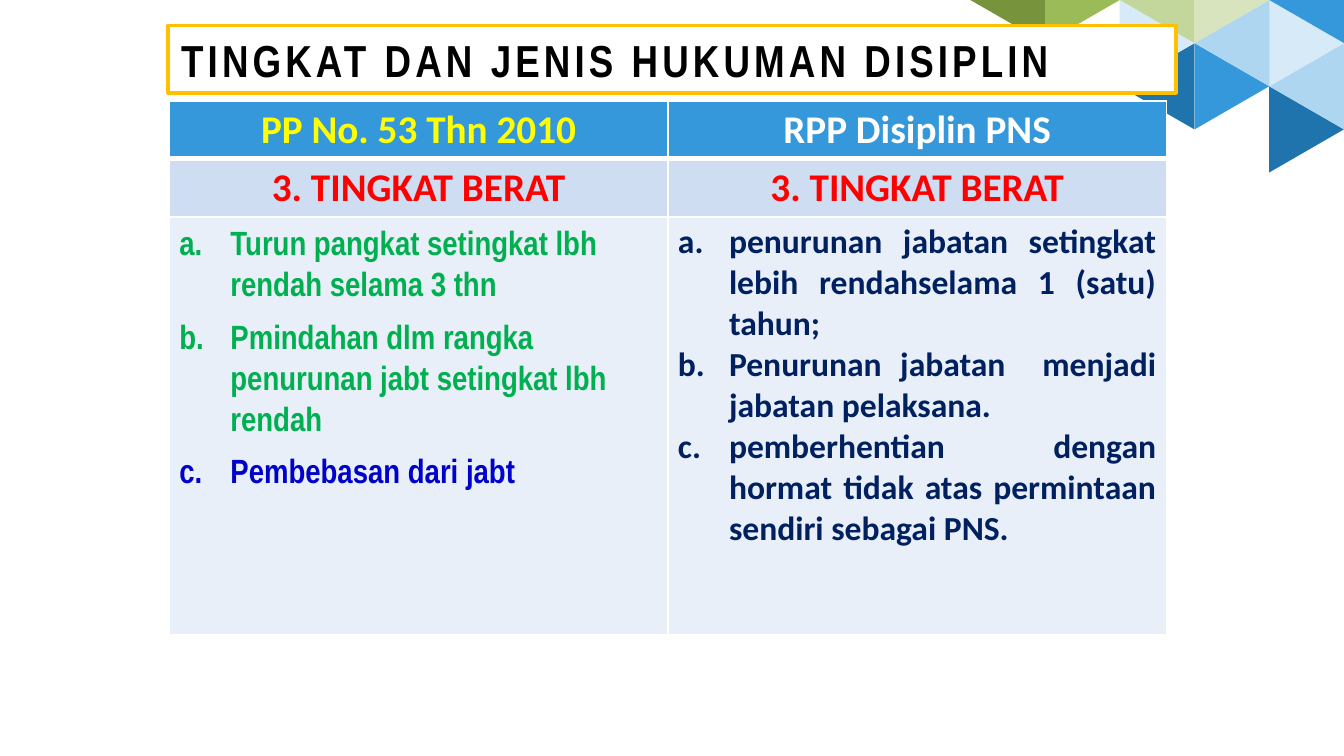
from dataclasses import dataclass
from math import cos, radians, sin, sqrt

from lxml.etree import SubElement
from pptx import Presentation
from pptx.dml.color import RGBColor
from pptx.enum.shapes import MSO_SHAPE
from pptx.enum.text import MSO_ANCHOR, PP_ALIGN
from pptx.oxml.ns import qn
from pptx.util import Inches, Pt


@dataclass(frozen=True)
class Theme:
    narrow: str = "Arial Narrow"
    body: str = "Calibri"
    title_size: int = 24
    header_size: int = 21
    list_size: int = 18
    white: str = "FFFFFF"
    black: str = "000000"
    gold: str = "FFC000"
    yellow: str = "FFFF00"
    red: str = "FF0000"
    green: str = "00B050"
    blue: str = "0000CC"
    navy: str = "002060"
    header_fill: str = "3498DB"
    level_fill: str = "CEDDF1"
    list_fill: str = "E8EFF8"
    dark_blue: str = "1F74AD"
    mid_blue: str = "3498DB"
    light_blue: str = "AED6F1"
    pale_blue: str = "D6EAF8"
    dark_olive: str = "77933C"
    olive: str = "9BBB59"
    light_olive: str = "C3D69B"
    pale_olive: str = "D7E4BD"


THEME = Theme()

TRIANGLES = [
    (4, 3, 330, THEME.dark_blue),
    (4, 2, 270, THEME.light_blue),
    (4, 1, 210, THEME.pale_blue),
    (3, 2, 90, THEME.mid_blue),
    (3, 1, 150, THEME.light_blue),
    (2, 2, 270, THEME.dark_blue),
    (2, 1, 210, THEME.pale_blue),
    (2, 0, 30, THEME.light_olive),
    (3, 0, 330, THEME.pale_olive),
    (0, 0, 30, THEME.dark_olive),
    (1, 0, 330, THEME.olive),
    (4, 0, 30, THEME.mid_blue),
]

HEADERS = [("PP No. 53 Thn 2010", THEME.yellow), ("RPP Disiplin PNS", THEME.white)]
LEVEL = "3. TINGKAT BERAT"
OLD_PENALTIES = [
    ("Turun pangkat setingkat lbh rendah selama 3 thn", THEME.green),
    ("Pmindahan dlm rangka penurunan jabt setingkat lbh rendah", THEME.green),
    ("Pembebasan dari jabt", THEME.blue),
]
NEW_PENALTIES = [
    "penurunan jabatan setingkat lebih rendahselama 1 (satu) tahun;",
    "Penurunan jabatan  menjadi jabatan pelaksana.",
    "pemberhentian dengan hormat tidak atas permintaan sendiri sebagai PNS.",
]


def write_text(frame, text, size, color, font=THEME.body, align=PP_ALIGN.LEFT,
               first=True, lettered=False, line_spacing=None, space_before=0, tracking=0):
    paragraph = frame.paragraphs[0] if first else frame.add_paragraph()
    if lettered:
        properties = paragraph._p.get_or_add_pPr()
        indent = Inches(0.38)
        properties.set("marL", str(indent))
        properties.set("indent", str(-indent))
        SubElement(properties, qn("a:buFont"), typeface="+mj-lt")
        SubElement(properties, qn("a:buAutoNum"), type="alphaLcPeriod")
    paragraph.alignment = align
    if line_spacing:
        paragraph.line_spacing = line_spacing
    paragraph.space_before = Pt(0 if first else space_before)
    run = paragraph.add_run()
    run.text = text
    run.font.name = font
    run.font.size = Pt(size)
    run.font.bold = True
    run.font.color.rgb = RGBColor.from_string(color)
    if tracking:
        run._r.get_or_add_rPr().set("spc", str(round(tracking * 100)))


def add_triangle_corner(slide, left, top, width):
    height = width / 5
    side = height * 2 / sqrt(3)
    group = slide.shapes.add_group_shape()
    for column, row, rotation, color in TRIANGLES:
        points_right = rotation % 120 == 90
        centroid_x = left + height * (column + (1 / 3 if points_right else 2 / 3))
        centroid_y = top + row * side / 2
        angle = radians(rotation)
        center_x = centroid_x + height / 6 * sin(angle)
        center_y = centroid_y - height / 6 * cos(angle)
        triangle = group.shapes.add_shape(
            MSO_SHAPE.ISOSCELES_TRIANGLE,
            Inches(center_x - side / 2), Inches(center_y - height / 2),
            Inches(side), Inches(height))
        triangle.rotation = rotation
        triangle.shadow.inherit = False
        triangle.fill.solid()
        triangle.fill.fore_color.rgb = RGBColor.from_string(color)
        triangle.line.fill.background()


def add_title(slide, left, top, width, height):
    title = slide.shapes.add_shape(
        MSO_SHAPE.RECTANGLE, Inches(left), Inches(top), Inches(width), Inches(height))
    title.shadow.inherit = False
    title.fill.solid()
    title.fill.fore_color.rgb = RGBColor.from_string(THEME.white)
    title.line.color.rgb = RGBColor.from_string(THEME.gold)
    title.line.width = Pt(2)
    frame = title.text_frame
    frame.word_wrap = True
    frame.vertical_anchor = MSO_ANCHOR.MIDDLE
    write_text(frame, "TINGKAT DAN JENIS HUKUMAN DISIPLIN", THEME.title_size,
               THEME.black, font=THEME.narrow, tracking=2.2)


def style_cell(cell, fill, top_width, bottom_width):
    cell.margin_left = cell.margin_right = Pt(5.4)
    cell.margin_top = cell.margin_bottom = Pt(2.7)
    properties = cell._tc.get_or_add_tcPr()
    widths = {"a:lnL": 1, "a:lnR": 1, "a:lnT": top_width, "a:lnB": bottom_width}
    for edge, width in widths.items():
        border = SubElement(properties, qn(edge), w=str(Pt(width)))
        SubElement(SubElement(border, qn("a:solidFill")), qn("a:srgbClr"), val=THEME.white)
    cell.fill.solid()
    cell.fill.fore_color.rgb = RGBColor.from_string(fill)


def add_penalty_table(slide, left, top, width, height):
    heading_height = 0.43
    table = slide.shapes.add_table(
        3, 2, Inches(left), Inches(top), Inches(width), Inches(height)).table
    table.horz_banding = False
    for column in table.columns:
        column.width = Inches(width / 2)
    row_heights = [heading_height, heading_height, height - 2 * heading_height]
    for row, row_height in zip(table.rows, row_heights):
        row.height = Inches(row_height)

    row_styles = [(THEME.header_fill, 1, 3), (THEME.level_fill, 3, 1), (THEME.list_fill, 1, 1)]
    for row, style in zip(table.rows, row_styles):
        for cell in row.cells:
            style_cell(cell, *style)

    for column, (header, color) in enumerate(HEADERS):
        for row, (text, text_color) in enumerate([(header, color), (LEVEL, THEME.red)]):
            write_text(table.cell(row, column).text_frame, text, THEME.header_size,
                       text_color, align=PP_ALIGN.CENTER)
    for index, (text, color) in enumerate(OLD_PENALTIES):
        write_text(table.cell(2, 0).text_frame, text, THEME.list_size, color,
                   font=THEME.narrow, first=index == 0, lettered=True,
                   line_spacing=1.3, space_before=6)
    for index, text in enumerate(NEW_PENALTIES):
        write_text(table.cell(2, 1).text_frame, text, THEME.list_size, THEME.navy,
                   align=PP_ALIGN.JUSTIFY, first=index == 0, lettered=True)


def main():
    presentation = Presentation()
    presentation.slide_width = Inches(10)
    presentation.slide_height = Inches(10 * 9 / 16)
    slide = presentation.slides.add_slide(presentation.slide_layouts[6])
    add_triangle_corner(slide, 7.22, 0, 2.78)
    add_title(slide, 1.25, 0.19, 7.5, 0.5)
    add_penalty_table(slide, 1.26, 0.75, 7.42, 3.97)
    presentation.save("out.pptx")


if __name__ == "__main__":
    main()
